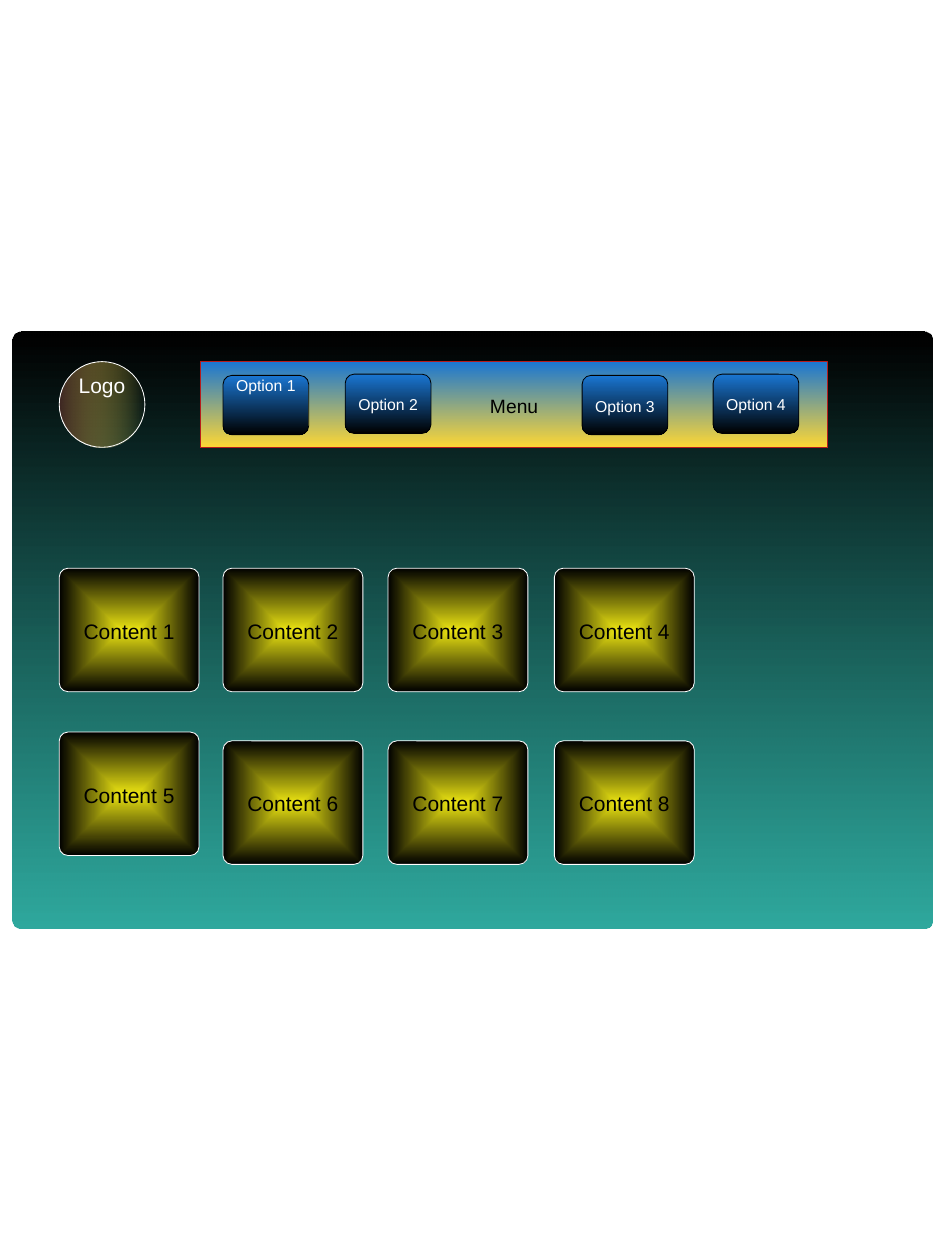
from pptx import Presentation
from pptx.dml.color import RGBColor as RGB
from pptx.enum.shapes import MSO_SHAPE as Kind
from pptx.enum.text import MSO_ANCHOR as Anchor, PP_ALIGN as Align
from pptx.oxml import parse_xml
from pptx.oxml.ns import nsdecls, qn
from pptx.util import Inches, Pt

DOWN = '<a:lin ang="5400000" scaled="0"/>'
LEFT = '<a:lin ang="10800000" scaled="0"/>'
CORE = ('<a:path path="rect"><a:fillToRect l="50000" t="50000" '
        'r="50000" b="50000"/></a:path>')

THEME = {
    "font": "Arial",
    "line": 0.48,
    "round": 0.07,
    "page": {"stops": [("000000", 100), ("009588", 82)], "flow": DOWN},
    "logo": {"stops": [("FFEF59", 0), ("3E2723", 100)], "flow": LEFT,
             "edge": "FFFFFF", "ink": "FFFFFF", "size": 12, "space": 1.07},
    "menu": {"stops": [("1A76D2", 100), ("FDD735", 100)], "flow": DOWN,
             "edge": "B71C1C", "ink": "000000", "size": 11, "space": 1.08},
    "option": {"stops": [("1A76D2", 100), ("000000", 100)], "flow": DOWN,
               "edge": "000000", "ink": "FFFFFF", "size": 9, "space": 1.09},
    "card": {"stops": [("EAE312", 100), ("000000", 100)], "flow": CORE,
             "edge": "FFFFFF", "ink": "000000", "size": 12, "space": 1.07},
}

PAGE = (0.1, 2.63, 7.3, 4.74)
LOGO = (0.47, 2.87, 0.68, 0.68)
MENU = (1.59, 2.87, 4.98, 0.68)
OPTIONS = [("Option 1", 1.77, 2.98), ("Option 2", 2.74, 2.97),
           ("Option 3", 4.62, 2.98), ("Option 4", 5.66, 2.97)]
OPTION_SIZE = (0.68, 0.47)
COLS = [0.47, 1.77, 3.08, 4.4]
ROWS = [[4.51] * 4, [5.81, 5.88, 5.88, 5.88]]
CARD_SIZE = (1.11, 0.98)


def paint(shape, look):
    stops = "".join(
        f'<a:gs pos="{i * 100000}"><a:srgbClr val="{tint}">'
        f'<a:alpha val="{alpha * 1000}"/></a:srgbClr></a:gs>'
        for i, (tint, alpha) in enumerate(look["stops"]))
    shape.fill.gradient()
    props = shape.element.spPr
    props.replace(props.find(qn("a:gradFill")), parse_xml(
        f'<a:gradFill {nsdecls("a")} rotWithShape="1">'
        f'<a:gsLst>{stops}</a:gsLst>{look["flow"]}</a:gradFill>'))
    if "edge" in look:
        shape.line.color.rgb = RGB.from_string(look["edge"])
        shape.line.width = Pt(THEME["line"])
    else:
        shape.line.fill.background()


def write(shape, text, look, lift):
    frame = shape.text_frame
    frame.word_wrap = True
    frame.margin_left = frame.margin_right = frame.margin_bottom = 0
    frame.margin_top = 0 if lift is None else Inches(lift)
    frame.vertical_anchor = Anchor.MIDDLE if lift is None else Anchor.TOP
    frame.text = text
    para = frame.paragraphs[0]
    para.alignment = Align.CENTER
    para.line_spacing = look["space"]
    font = para.runs[0].font
    font.name = THEME["font"]
    font.size = Pt(look["size"])
    font.color.rgb = RGB.from_string(look["ink"])


def add(slide, kind, box, name, text=None, lift=None):
    look = THEME[name]
    shape = slide.shapes.add_shape(kind, *map(Inches, box))
    shape.shadow.inherit = False
    if kind == Kind.ROUNDED_RECTANGLE:
        shape.adjustments[0] = THEME["round"] / min(box[2:])
    paint(shape, look)
    if text:
        write(shape, text, look, lift)


def main():
    deck = Presentation()
    deck.slide_width, deck.slide_height = Inches(7.5), Inches(10)
    slide = deck.slides.add_slide(deck.slide_layouts[6])
    card = Kind.ROUNDED_RECTANGLE
    add(slide, card, PAGE, "page")
    add(slide, Kind.OVAL, LOGO, "logo", "Logo", -0.03)
    add(slide, Kind.RECTANGLE, MENU, "menu", "Menu")
    for i, (text, x, y) in enumerate(OPTIONS):
        add(slide, card, (x, y, *OPTION_SIZE), "option", text,
            -0.03 if i == 0 else None)
    for r, tops in enumerate(ROWS):
        for c, (x, y) in enumerate(zip(COLS, tops)):
            num = r * len(COLS) + c + 1
            add(slide, card, (x, y, *CARD_SIZE), "card", f"Content {num}")
    deck.save("out.pptx")


if __name__ == "__main__":
    main()
